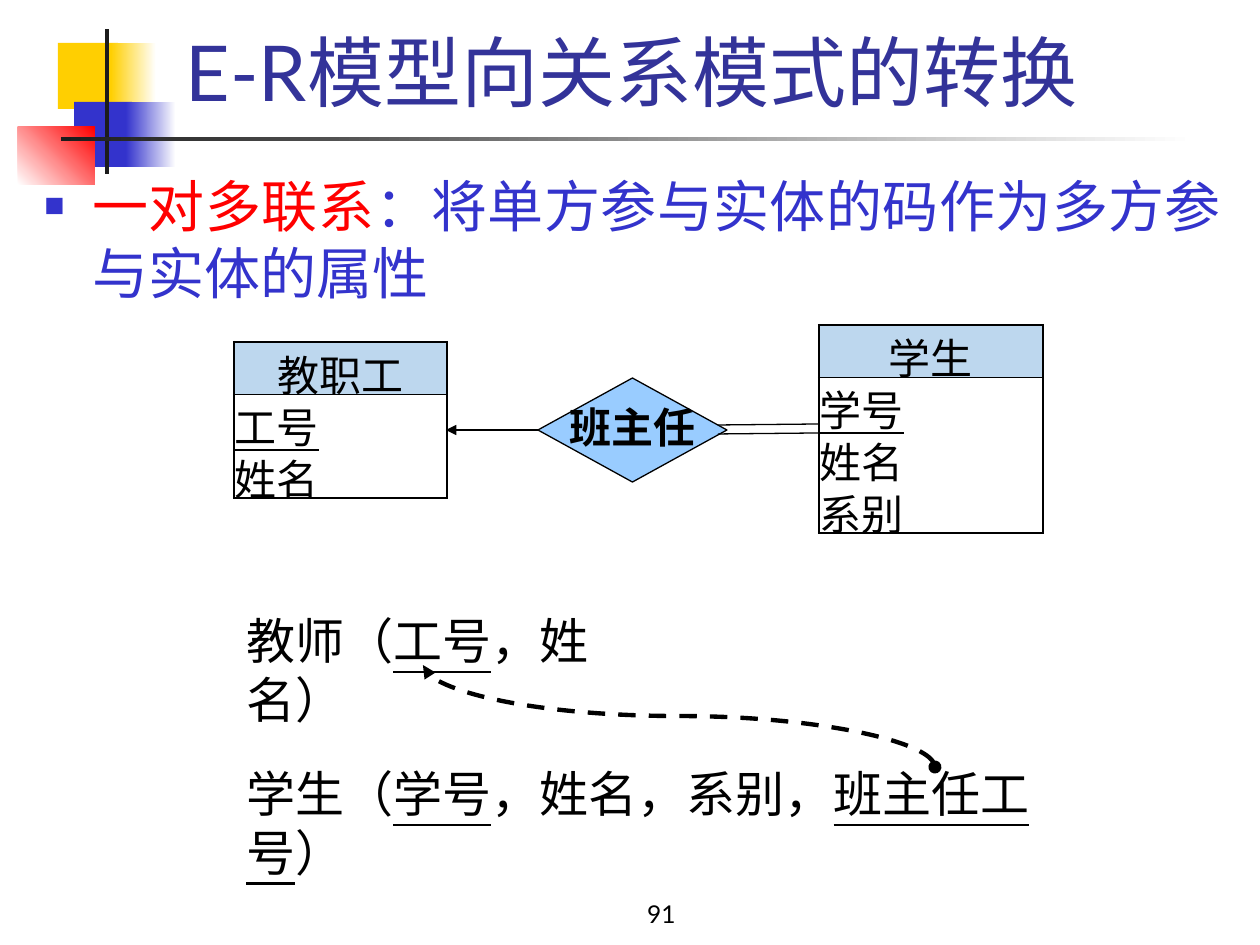
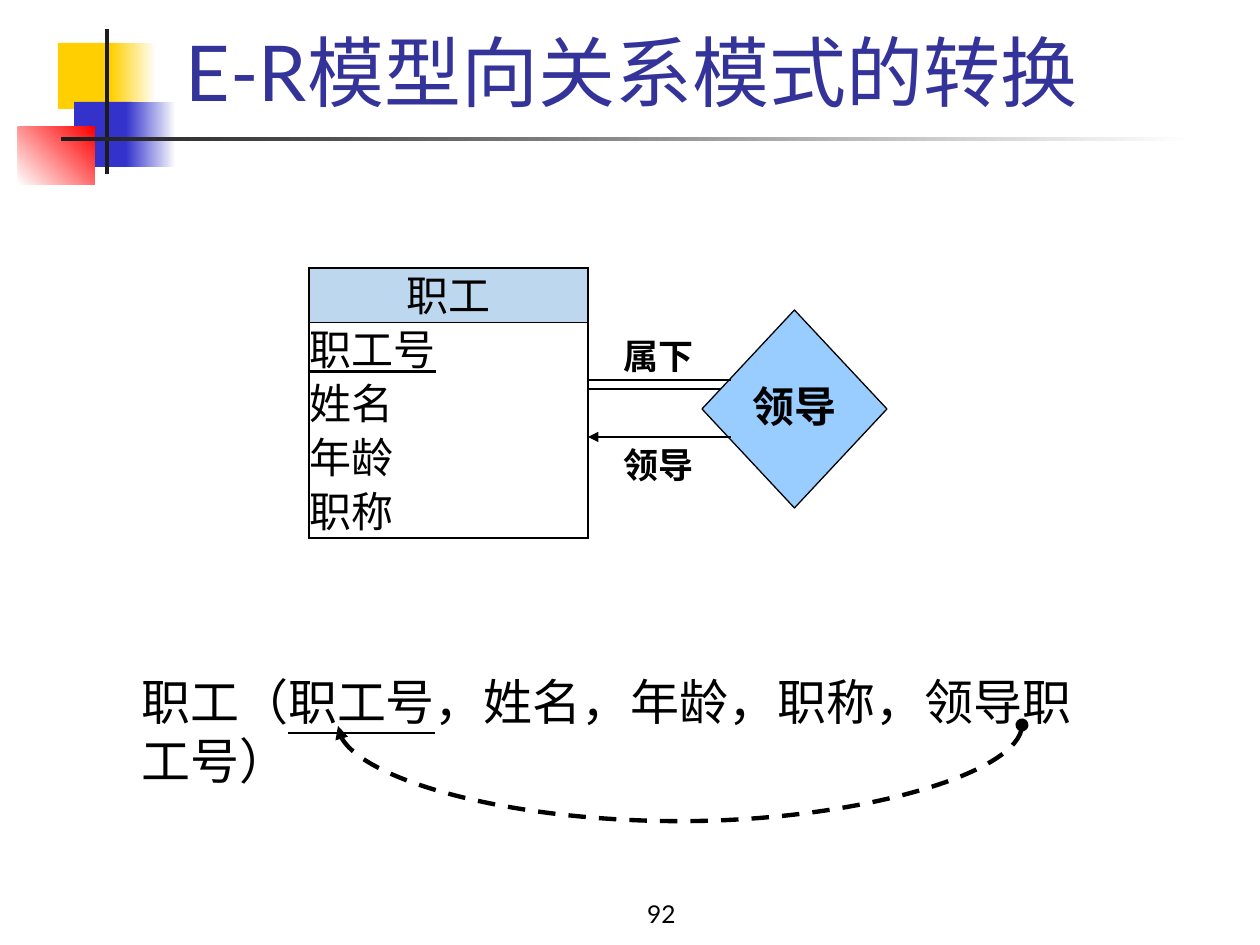
from lxml import etree
from pptx import Presentation
from pptx import util as u
from pptx.dml.color import RGBColor
from pptx.enum import dml, shapes, text
from pptx.oxml import ns

SCALE = 914400 / 126
COLORS = {
    "yellow": "FFCF01", "blue": "3333CC", "red": "FF0000", "white": "FFFFFF",
    "charcoal": "1C1C1C", "black": "000000", "title": "333399",
    "header": "BDD7EE", "diamond": "99CCFF",
}
CJK = "Noto Sans CJK SC"
LATO = "Lato"
TITLE = "E-R模型向关系模式的转换"
CENTER = text.PP_ALIGN.CENTER
RECT = shapes.MSO_SHAPE.RECTANGLE

# left, top, width, height, colours (two make a gradient), angle
BANDS = [
    (58, 43, 60, 66, ["yellow"], 0),
    (111, 43, 45, 66, ["yellow", "white"], 0),
    (74, 102, 58, 65, ["blue"], 0),
    (126, 102, 50, 65, ["blue", "white"], 0),
    (18, 127, 77, 58, ["white", "red"], 45),
    (105, 29, 4, 145, ["charcoal"], 0),
    (61, 137, 1134, 4, ["charcoal", "white"], 0),
]


def px(length):
    return u.Emu(round(length * SCALE))


def rgb(name):
    return RGBColor.from_string(COLORS[name])


def sub(parent, tag, **attributes):
    return etree.SubElement(parent, ns.qn(tag), attributes)


class Deck:
    def __init__(self):
        self.prs = Presentation()
        self.prs.slide_width, self.prs.slide_height = px(1260), px(945)
        self.slide = None

    def new_slide(self, number):
        self.slide = self.prs.slides.add_slide(self.prs.slide_layouts[5])
        for *box, colors, angle in BANDS:
            self.band(box, colors, angle)
        title = self.slide.shapes.title
        title.left, title.top, title.width, title.height = map(px, (95, 20, 1074, 103))
        frame = title.text_frame
        frame.text = TITLE
        frame.auto_size = text.MSO_AUTO_SIZE.NONE
        frame.vertical_anchor = text.MSO_ANCHOR.BOTTOM
        self.style(frame.paragraphs[0], 44, LATO, "title", align=CENTER)
        page = self.textbox((462, 872, 399, 63), [(str(number), {})], 14, LATO, align=CENTER)
        page.text_frame.vertical_anchor = text.MSO_ANCHOR.BOTTOM

    def style(self, paragraph, size, font, color="black", bold=False, align=None):
        paragraph.alignment = align
        for run in paragraph.runs:
            run.font.size, run.font.name, run.font.bold = u.Pt(size), font, bold
            run.font.color.rgb = rgb(color)
            # East Asian text takes its line height from this face
            sub(run.font._element, "a:ea", typeface=CJK if font == CJK else LATO)

    def band(self, box, colors, angle):
        band = self.slide.shapes.add_shape(RECT, *map(px, box))
        band.shadow.inherit = False
        band.line.fill.background()
        if len(colors) == 1:
            band.fill.solid()
            band.fill.fore_color.rgb = rgb(colors[0])
        else:
            band.fill.gradient()
            band.fill.gradient_angle = angle
            for stop, color, position in zip(band.fill.gradient_stops, colors, (0, 1)):
                stop.color.rgb = rgb(color)
                stop.position = position

    def textbox(self, box, parts, size, font, bold=False, align=None):
        """Parts are (wording, options); options may hold underline and color."""
        holder = self.slide.shapes.add_textbox(*map(px, box))
        holder.text_frame.word_wrap = True
        paragraph = holder.text_frame.paragraphs[0]
        for wording, options in parts:
            run = paragraph.add_run()
            run.text = wording
        self.style(paragraph, size, font, bold=bold, align=align)
        for run, (wording, options) in zip(paragraph.runs, parts):
            run.font.underline = options.get("underline", False)
            run.font.color.rgb = rgb(options.get("color", "black"))
        return holder

    def bullet(self, box, parts):
        rule = self.textbox(box, parts, 32, LATO, align=text.PP_ALIGN.JUSTIFY)
        props = rule.text_frame.paragraphs[0]._p.get_or_add_pPr()
        props.set("marL", str(px(48)))
        props.set("indent", str(-px(48)))
        sub(sub(props, "a:buClr"), "a:srgbClr", val=COLORS["blue"])
        sub(props, "a:buSzPct", val="60000")
        sub(props, "a:buFont", typeface="Arial")
        sub(props, "a:buChar", char="■")

    def relation(self, left, top, width, parts):
        """A relation schema; wording marked with * is a key and underlined."""
        keyed = [(part.strip("*"), {"underline": part.startswith("*")}) for part in parts]
        self.textbox((left, top, width, 72), keyed, 28, "Arial")

    def relationship(self, box, name):
        diamond = self.slide.shapes.add_shape(shapes.MSO_SHAPE.DIAMOND, *map(px, box))
        diamond.shadow.inherit = False
        diamond.fill.solid()
        diamond.fill.fore_color.rgb = rgb("diamond")
        diamond.line.color.rgb = rgb("black")
        diamond.line.width = u.Pt(0.75)
        frame = diamond.text_frame
        frame.text = name
        frame.word_wrap = False
        frame.vertical_anchor = text.MSO_ANCHOR.MIDDLE
        frame.paragraphs[0].line_spacing = 0.9
        self.style(frame.paragraphs[0], 24, CJK, bold=True, align=CENTER)
        return diamond

    def entity(self, left, top, width, row_height, rows, spacing=1.0):
        """Entity table: the name, then its key, then the other attributes."""
        frame = self.slide.shapes.add_table(
            len(rows), 1, *map(px, (left, top, width, row_height * len(rows))))
        table = frame.table
        table.first_row = table.horz_banding = False
        last = len(rows) - 1
        for index, wording in enumerate(rows):
            table.rows[index].height = px(row_height)
            cell = table.cell(index, 0)
            cell.text = wording
            cell.margin_left = cell.margin_right = cell.margin_top = px(1)
            cell.margin_bottom = 0
            cell.vertical_anchor = text.MSO_ANCHOR.MIDDLE
            paragraph = cell.text_frame.paragraphs[0]
            paragraph.line_spacing = spacing
            self.style(paragraph, 24, CJK, align=CENTER if index == 0 else None)
            paragraph.runs[0].font.underline = index == 1
            if index == 0:
                cell.fill.solid()
                cell.fill.fore_color.rgb = rgb("header")
            else:
                cell.fill.background()
            above = {0: 1.5, 1: 0.5}.get(index, 0)
            below = {0: 0.5, last: 1.5}.get(index, 0)
            self.borders(cell, lnL=1.5, lnR=1.5, lnT=above, lnB=below)

    def borders(self, cell, **widths):
        props = cell._tc.get_or_add_tcPr()
        for position, (side, width) in enumerate(widths.items()):
            border = etree.Element(ns.qn("a:" + side), w=str(u.Pt(width)))
            if width:
                sub(sub(border, "a:solidFill"), "a:srgbClr", val=COLORS["black"])
            else:
                sub(border, "a:noFill")
            props.insert(position, border)

    def line(self, start, end, head=None, tail=None, width=0.75, dashed=False,
             kind=shapes.MSO_CONNECTOR.STRAIGHT):
        link = self.slide.shapes.add_connector(kind, *map(px, (*start, *end)))
        link.line.color.rgb = rgb("black")
        link.line.width = u.Pt(width)
        if dashed:
            link.line.dash_style = dml.MSO_LINE.DASH
        outline = link.line._get_or_add_ln()
        for tag, arrow in (("a:headEnd", head), ("a:tailEnd", tail)):
            if arrow:
                sub(outline, tag, type=arrow)
        sub(link._element.spPr, "a:effectLst")
        return link

    def foreign_key(self, start, end, bend):
        """Dashed curve that leaves and arrives vertically, turning at height bend."""
        (x1, y1), (x2, y2) = start, end
        middle_x, middle_y = (x1 + x2) / 2, (y1 + y2) / 2
        # Before the quarter turn, the curve's rise lies along x and its run along y
        rise, run = (y2 - y1) / 2, (x1 - x2) / 2
        curve = self.line((middle_x + rise * -1, middle_y - run),
                          (middle_x + rise, middle_y + run),
                          "oval", "triangle", 2.5, True, shapes.MSO_CONNECTOR.CURVE)
        props = curve._element.spPr
        props.find(ns.qn("a:xfrm")).set("rot", "5400000")
        guides = props.find(ns.qn("a:prstGeom")).get_or_add_avLst()
        turn = round((bend - y1) / (y2 - y1) * 100000)
        sub(guides, "a:gd", name="adj1", fmla=f"val {turn}")


def one_to_many(deck):
    deck.new_slide(91)
    deck.bullet((32, 165, 1202, 179), [
        ("一对多联系", {"color": "red"}),
        ("：将单方参与实体的码作为多方参与实体的属性", {"color": "blue"}),
    ])
    adviser = deck.relationship((538, 378, 189, 104), "班主任")
    to_staff = deck.line((446, 430), (538, 430), head="triangle")
    to_staff.end_connect(adviser, 1)
    deck.foreign_key((935, 767), (423, 665), 716)
    deck.entity(819, 325, 224, 52, ["学生", "学号", "姓名", "系别"])
    deck.entity(234, 342, 213, 52, ["教职工", "工号", "姓名"])
    deck.relation(234, 604, 404, ["教师（", "*工号", "，姓名）"])
    deck.relation(234, 757, 816,
                  ["学生（", "*学号", "，姓名，系别，", "*班主任工号", "）"])
    for y in (425, 434):
        deck.line((718, y), (818, y - 1))


def self_reference(deck):
    deck.new_slide(92)
    deck.relationship((702, 310, 185, 198), "领导")
    deck.line((588, 380), (731, 380))
    deck.line((588, 389), (721, 389))
    deck.line((588, 437), (731, 437), head="triangle")
    for top, role in ((437, "领导"), (328, "属下")):
        deck.textbox((573, top, 171, 54), [(role, {})], 20, "Times New Roman",
                     bold=True, align=CENTER)
    deck.foreign_key((1022, 725), (338, 726), 822)
    deck.entity(309, 268, 279, 54, ["职工", "职工号", "姓名", "年龄", "职称"], spacing=0.86)
    deck.relation(129, 665, 998,
                  ["职工（", "*职工号", "，姓名，年龄，职称，领导职工号）"])


def main():
    deck = Deck()
    one_to_many(deck)
    self_reference(deck)
    deck.prs.save("out.pptx")


if __name__ == "__main__":
    main()
